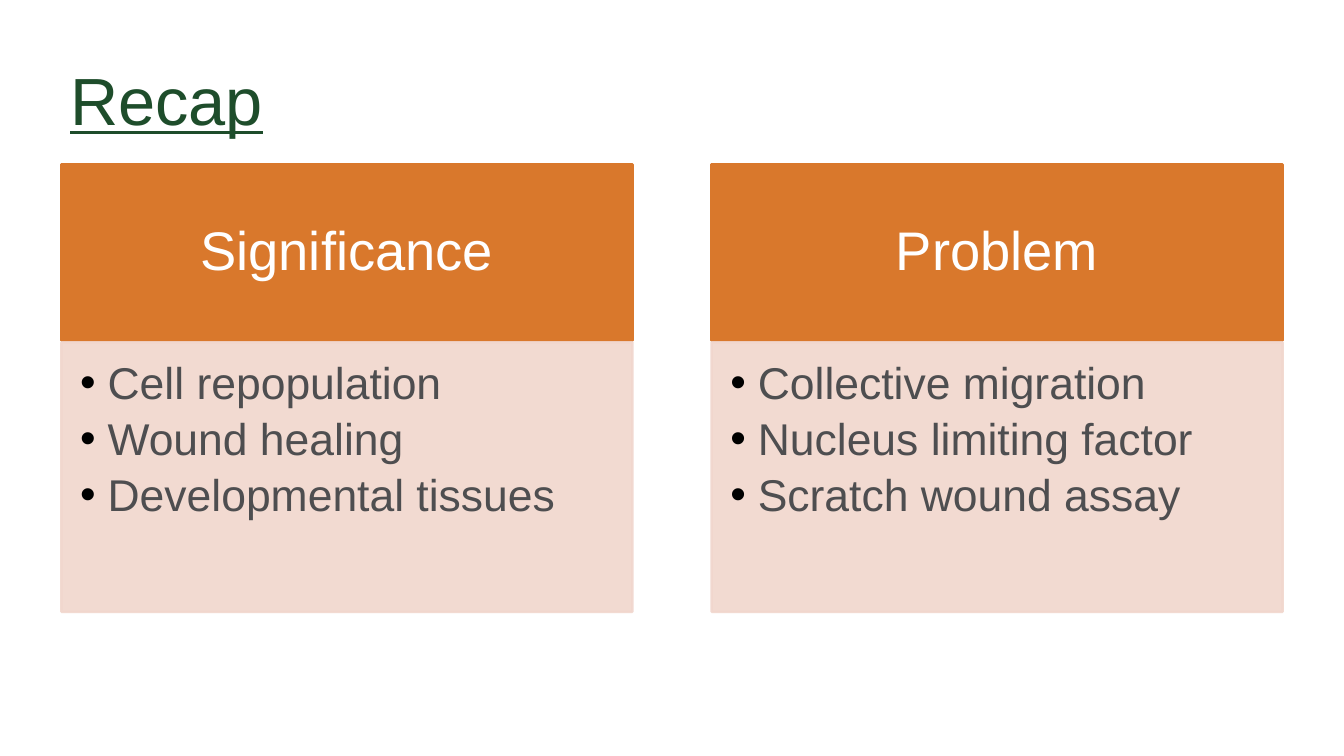
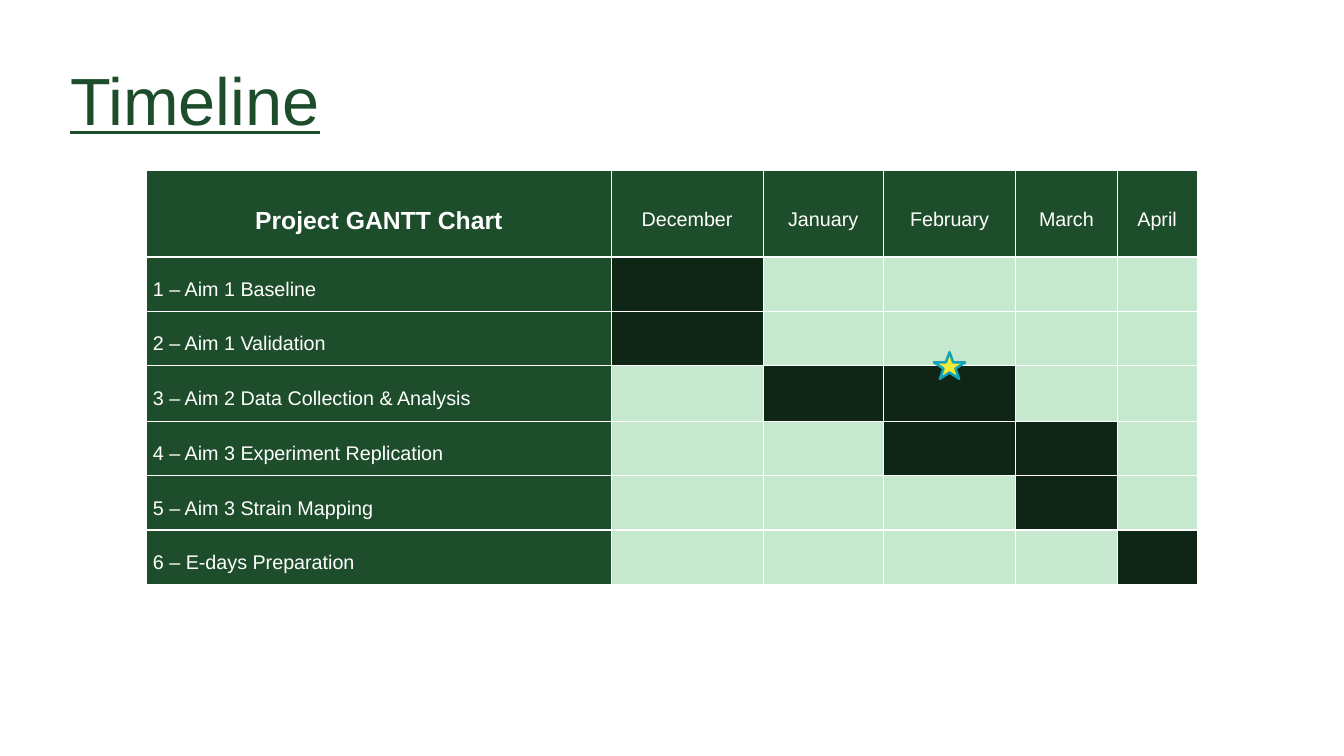
from lxml import etree
from pptx import Presentation
from pptx.dml.color import RGBColor
from pptx.enum import shapes, text
from pptx.oxml import ns
from pptx.util import Inches, Pt

FONT = "Arial"
GREEN = RGBColor(0x1E, 0x4D, 0x2B)
DARK_GREEN = RGBColor(0x0F, 0x26, 0x16)
PALE_GREEN = RGBColor(0xC5, 0xE8, 0xCF)
ORANGE = RGBColor(0xD9, 0x78, 0x2C)
PEACH = RGBColor(0xF1, 0xD6, 0xCD)
GREY = RGBColor(0x4E, 0x4E, 0x50)
WHITE = RGBColor(0xFF, 0xFF, 0xFF)
YELLOW = RGBColor(0xF2, 0xEA, 0x36)
TEAL = RGBColor(0x12, 0xA3, 0xB6)

LEFT = 0.69
CARDS = [
    ("Significance", ["Cell repopulation", "Wound healing", "Developmental tissues"]),
    ("Problem", ["Collective migration", "Nucleus limiting factor", "Scratch wound assay"]),
]
CARD_WIDTH, CARD_PITCH = 6.42, 7.31

TABLE_LEFT, TABLE_TOP = 1.65, 1.92
COLUMN_WIDTHS = [5.22, 1.71, 1.35, 1.49, 1.14, 0.9]
ROW_HEIGHTS = [0.97, 0.61, 0.61, 0.63, 0.61, 0.61, 0.61]
MONTHS = ["December", "January", "February", "March", "April"]
TASKS = [
    ("1 – Aim 1 Baseline", {"December"}),
    ("2 – Aim 1 Validation", {"December"}),
    ("3 – Aim 2 Data Collection & Analysis", {"January", "February"}),
    ("4 – Aim 3 Experiment Replication", {"February", "March"}),
    ("5 – Aim 3 Strain Mapping", {"March"}),
    ("6 – E-days Preparation", {"April"}),
]


def add_element(parent, tag, **attributes):
    return etree.SubElement(parent, ns.qn(tag), attributes)


def add_run(paragraph, words, size, color, bold=False, underline=False):
    run = paragraph.add_run()
    run.text = words
    font = run.font
    font.name, font.size, font.bold, font.underline = FONT, Pt(size), bold, underline
    font.color.rgb = color


def set_margins(frame, left, top, right, bottom):
    frame.margin_left, frame.margin_top = Inches(left), Inches(top)
    frame.margin_right, frame.margin_bottom = Inches(right), Inches(bottom)


def add_titled_slide(presentation, words):
    slide = presentation.slides.add_slide(presentation.slide_layouts[5])
    title = slide.shapes.title
    title.left, title.top = Inches(LEFT), Inches(0.55)
    title.width, title.height = Inches(13.74), Inches(1.11)
    frame = title.text_frame
    frame.auto_size = text.MSO_AUTO_SIZE.NONE
    frame.vertical_anchor = text.MSO_ANCHOR.BOTTOM
    set_margins(frame, 0.1, 0.1, 0.1, 0.1)
    paragraph = frame.paragraphs[0]
    paragraph.alignment = text.PP_ALIGN.LEFT
    add_run(paragraph, words, 54, GREEN, underline=True)
    return slide


def add_shape(slide, kind, left, top, width, height, fill, line):
    shape = slide.shapes.add_shape(
        kind, Inches(left), Inches(top), Inches(width), Inches(height))
    shape.shadow.inherit = False
    shape.fill.solid()
    shape.fill.fore_color.rgb = fill
    shape.line.color.rgb = line
    shape.line.width = Pt(2)
    return shape


def set_opacity(shape, percent):
    """Apply the opacity to both the fill and the outline."""
    for color in shape.fill._xPr.iter(ns.qn("a:srgbClr")):
        add_element(color, "a:alpha", val=str(percent * 1000))


def add_bullet(paragraph):
    properties = paragraph._p.get_or_add_pPr()
    properties.set("marL", str(Inches(0.31)))
    properties.set("indent", str(-Inches(0.31)))
    add_element(add_element(properties, "a:buClr"), "a:srgbClr", val="000000")
    add_element(properties, "a:buFont", typeface=FONT)
    add_element(properties, "a:buChar", char="•")


def add_card(slide, left, heading, points):
    rectangle = shapes.MSO_SHAPE.RECTANGLE
    header = add_shape(slide, rectangle, left, 1.85, CARD_WIDTH, 1.98, ORANGE, ORANGE)
    frame = header.text_frame
    frame.vertical_anchor = text.MSO_ANCHOR.MIDDLE
    set_margins(frame, 0.34, 0.2, 0.34, 0.2)
    paragraph = frame.paragraphs[0]
    paragraph.alignment = text.PP_ALIGN.CENTER
    paragraph.line_spacing = 0.9
    add_run(paragraph, heading, 44, WHITE)

    body = add_shape(slide, rectangle, left, 3.85, CARD_WIDTH, 3.03, PEACH, PEACH)
    set_opacity(body, 90)
    frame = body.text_frame
    frame.vertical_anchor = text.MSO_ANCHOR.TOP
    set_margins(frame, 0.21, 0.21, 0.28, 0.32)
    for index, point in enumerate(points):
        paragraph = frame.add_paragraph() if index else frame.paragraphs[0]
        add_bullet(paragraph)
        paragraph.alignment = text.PP_ALIGN.LEFT
        paragraph.line_spacing = 0.9
        paragraph.space_after = Pt(6.5)
        add_run(paragraph, point, 36, GREY)


def style_cell(cell, fill):
    """Fill the cell and give it thin white borders."""
    cell.fill.solid()
    cell.fill.fore_color.rgb = fill
    properties = cell._tc.get_or_add_tcPr()
    for index, side in enumerate("LRTB"):
        border = add_element(properties, f"a:ln{side}", w=str(Pt(1)))
        add_element(add_element(border, "a:solidFill"), "a:srgbClr", val=str(WHITE))
        properties.insert(index, border)


def add_label(cell, words, size=16, bold=False, align=text.PP_ALIGN.CENTER):
    style_cell(cell, GREEN)
    cell.vertical_anchor = text.MSO_ANCHOR.MIDDLE
    set_margins(cell, 0.07, 0, 0.07, 0)
    paragraph = cell.text_frame.paragraphs[0]
    paragraph.alignment = align
    paragraph.line_spacing = 1.5
    add_run(paragraph, words, size, WHITE, bold)


def add_gantt(slide):
    table = slide.shapes.add_table(
        len(ROW_HEIGHTS), len(COLUMN_WIDTHS), Inches(TABLE_LEFT), Inches(TABLE_TOP),
        Inches(sum(COLUMN_WIDTHS)), Inches(sum(ROW_HEIGHTS))).table
    table.first_row = table.horz_banding = False
    for column, width in zip(table.columns, COLUMN_WIDTHS):
        column.width = Inches(width)
    for row, height in zip(table.rows, ROW_HEIGHTS):
        row.height = Inches(height)

    add_label(table.cell(0, 0), "Project GANTT Chart", size=20, bold=True)
    for column, month in enumerate(MONTHS, start=1):
        add_label(table.cell(0, column), month)
    for row, (task, active_months) in enumerate(TASKS, start=1):
        add_label(table.cell(row, 0), task, align=text.PP_ALIGN.LEFT)
        for column, month in enumerate(MONTHS, start=1):
            style_cell(table.cell(row, column),
                       DARK_GREEN if month in active_months else PALE_GREEN)


def add_milestone(slide, month, task_number):
    """Centre a star on the top edge of a task's cell."""
    width, height = 0.35, 0.3
    column = MONTHS.index(month) + 1
    center = TABLE_LEFT + sum(COLUMN_WIDTHS[:column]) + COLUMN_WIDTHS[column] / 2
    middle = TABLE_TOP + sum(ROW_HEIGHTS[:task_number])
    add_shape(slide, shapes.MSO_SHAPE.STAR_5_POINT, center - width / 2,
              middle - height / 2, width, height, YELLOW, TEAL)


def main():
    presentation = Presentation()
    presentation.slide_width, presentation.slide_height = Inches(15.11), Inches(8.5)

    recap = add_titled_slide(presentation, "Recap")
    for index, (heading, points) in enumerate(CARDS):
        add_card(recap, LEFT + index * CARD_PITCH, heading, points)

    timeline = add_titled_slide(presentation, "Timeline")
    add_gantt(timeline)
    add_milestone(timeline, "February", 3)

    presentation.save("out.pptx")


if __name__ == "__main__":
    main()
